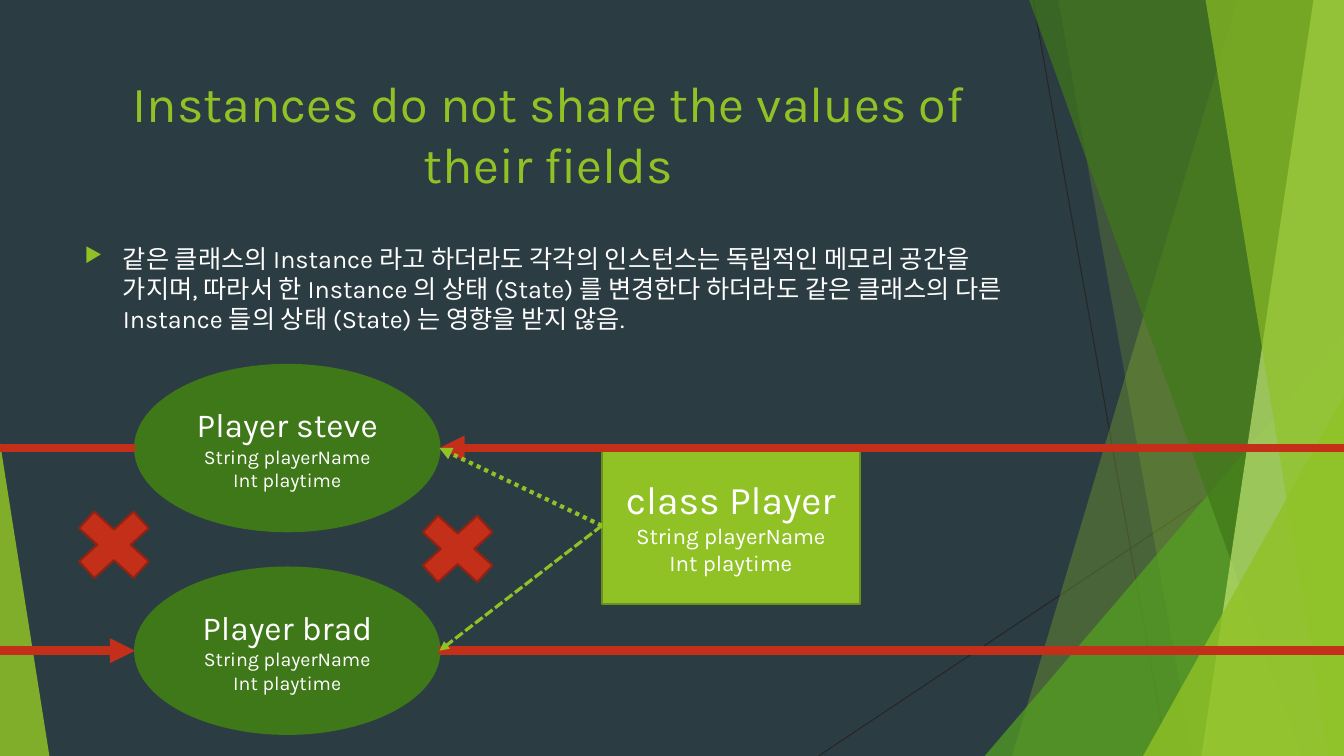
from dataclasses import dataclass

from lxml import etree
from pptx import Presentation
from pptx.dml.color import RGBColor
from pptx.enum.dml import MSO_LINE
from pptx.enum.shapes import MSO_CONNECTOR, MSO_SHAPE
from pptx.enum.text import MSO_ANCHOR, PP_ALIGN
from pptx.oxml.ns import qn
from pptx.util import Emu, Inches, Pt

STRAIGHT = MSO_CONNECTOR.STRAIGHT
SOLID, DOTTED, DASHED = MSO_LINE.SOLID, MSO_LINE.ROUND_DOT, MSO_LINE.SQUARE_DOT
TRIANGLE, RECTANGLE = MSO_SHAPE.ISOSCELES_TRIANGLE, MSO_SHAPE.RECTANGLE
ELLIPSE, CROSS = MSO_SHAPE.OVAL, MSO_SHAPE.MATH_MULTIPLY
TOP, MIDDLE = MSO_ANCHOR.TOP, MSO_ANCHOR.MIDDLE
LEFT, CENTER = PP_ALIGN.LEFT, PP_ALIGN.CENTER


@dataclass(frozen=True)
class Theme:
    """Colours, font and type sizes of the slide."""
    font: str = "Karla"
    background: str = "2C3C43"
    text: str = "FFFFFF"
    lime: str = "90C226"
    lime_edge: str = "6B901C"
    pale: str = "C0E474"
    green: str = "54A021"
    forest: str = "3F7819"
    red: str = "C42F1A"
    red_edge: str = "912313"
    hairline: str = "262626"
    title: int = 36
    body: int = 18
    class_name: int = 28
    class_field: int = 16
    object_name: int = 24
    object_field: int = 14


theme = Theme()
presentation = Presentation()
presentation.slide_width = Inches(13.333)
presentation.slide_height = Inches(7.5)
# The grid has 100 columns and 100 rows.
COLUMN = presentation.slide_width / 100
ROW = presentation.slide_height / 100


def grid(*lengths):
    """Turn alternating column and row counts into lengths."""
    return [Emu(round(length * (ROW if index % 2 else COLUMN)))
            for index, length in enumerate(lengths)]


def write(shape, lines, *, sizes, color=theme.text, align=CENTER, anchor=MIDDLE):
    """Fill a shape with one paragraph per line and return the paragraphs."""
    frame = shape.text_frame
    frame.word_wrap = True
    frame.vertical_anchor = anchor
    frame.text = "\n".join(lines)
    for paragraph, size in zip(frame.paragraphs, sizes):
        paragraph.alignment = align
        font = paragraph.runs[0].font
        font.name, font.size = theme.font, Pt(size)
        font.color.rgb = RGBColor.from_string(color)
    return frame.paragraphs


slide = presentation.slides.add_slide(presentation.slide_layouts[6])
slide.background.fill.solid()
slide.background.fill.fore_color.rgb = RGBColor.from_string(theme.background)
shapes = slide.shapes

# Each connector: start, end, colour, width, dash, arrowhead
hairlines = [
    ((76.87, 0), (86.85, 100), theme.hairline, 0.75, SOLID, False),
    ((100, 53.73), (60.9, 100), theme.hairline, 0.75, SOLID, False),
]
# Each facet: outline, colour, opacity in percent. A panel gives the columns of
# its slanted edge at top and bottom, a triangle its box and apex.
facets = [
    ((92.1, 75.3), theme.lime, 30),
    ((78.75, 88.73), theme.lime, 20),
    ((73.27, 44.4, 26.73, 55.6, 1), theme.green, 72),
    ((76.58, 96.83), theme.forest, 70),
    ((97.73, 89.4), theme.pale, 70),
    ((89.7, 98.85), theme.lime, 65),
    ((85.05, 52.4, 14.95, 47.6, 1), theme.lime, 80),
    ((0, 58.53, 3.68, 41.47, 0), theme.lime, 85),
]

# Positions shared by the diagram's shapes and arrows
object_left, object_width, object_height = 10.05, 22.65, 22
object_right = object_left + object_width
steve_top, brad_top = 48.27, 75.07
steve_middle, brad_middle = (top + object_height / 2 for top in (steve_top, brad_top))
class_left, class_top, class_width, class_height = 44.78, 59.2, 19.2, 20.67
class_port = (class_left, class_top + class_height / 2)

arrows = [
    ((object_left, steve_middle), (0, steve_middle), theme.red, 6, SOLID, False),
    ((0, brad_middle), (object_left, brad_middle), theme.red, 6, SOLID, True),
    ((object_right, brad_middle), (100, brad_middle), theme.red, 6, SOLID, False),
    ((100, steve_middle), (object_right, steve_middle), theme.red, 6, SOLID, True),
]
instance_arrows = [
    (class_port, (object_right, steve_middle), theme.lime, 3, DOTTED, True),
    (class_port, (object_right, brad_middle), theme.lime, 2.25, DASHED, True),
]
fields = ["String playerName", "Int playtime"]
class_sizes = [theme.class_name, theme.class_field, theme.class_field]
object_sizes = [theme.object_name, theme.object_field, theme.object_field]
# Each node: preset, box, fill, edge, lines, sizes
nodes = [
    (RECTANGLE, (class_left, class_top, class_width, class_height),
     theme.lime, theme.lime_edge, ["class Player", *fields], class_sizes),
    (ELLIPSE, (object_left, steve_top, object_width, object_height),
     theme.forest, theme.forest, ["Player steve", *fields], object_sizes),
    (ELLIPSE, (object_left, brad_top, object_width, object_height),
     theme.forest, theme.forest, ["Player brad", *fields], object_sizes),
]
crosses = [
    (CROSS, (left, top, 7.8, 12.67), theme.red, theme.red_edge, [], [])
    for left, top in ((4.58, 65.73), (30.15, 66.27))
]

# Back to front: hairlines, facets, nodes, red arrows, crosses, instance arrows
connector_layers = {"hairlines": hairlines, "arrows": arrows, "instances": instance_arrows}
node_layers = {"nodes": nodes, "crosses": crosses}
for layer in ("hairlines", "facets", "text", "nodes", "arrows", "crosses", "instances"):
    for start, end, color, width, dash, arrowhead in connector_layers.get(layer, []):
        connector = shapes.add_connector(STRAIGHT, *grid(*start, *end))
        connector.line.color.rgb = RGBColor.from_string(color)
        connector.line.width = Pt(width)
        connector.line.dash_style = dash
        properties = connector._element.spPr
        if arrowhead:
            etree.SubElement(properties.find(qn("a:ln")), qn("a:tailEnd"), type="triangle")
        etree.SubElement(properties, qn("a:effectLst"))

    for preset, box, fill, edge, lines, sizes in node_layers.get(layer, []):
        shape = shapes.add_shape(preset, *grid(*box))
        shape.shadow.inherit = False
        shape.fill.solid()
        shape.fill.fore_color.rgb = RGBColor.from_string(fill)
        shape.line.color.rgb = RGBColor.from_string(edge)
        shape.line.width = Pt(1.5)
        if lines:
            write(shape, lines, sizes=sizes)

    for outline, color, opacity in facets if layer == "facets" else []:
        if len(outline) == 2:
            top, bottom = outline
            builder = shapes.build_freeform(*grid(top, 0), scale=1.0)
            corners = [grid(100, 0), grid(100, 100), grid(bottom, 100)]
            builder.add_line_segments(corners, close=True)
            facet = builder.convert_to_shape()
        else:
            *box, apex = outline
            facet = shapes.add_shape(TRIANGLE, *grid(*box))
            facet.adjustments[0] = apex
        facet.shadow.inherit = False
        facet.fill.solid()
        facet.fill.fore_color.rgb = RGBColor.from_string(color)
        facet.line.fill.background()
        fill_color = facet._element.spPr.find(qn("a:solidFill")).find(qn("a:srgbClr"))
        etree.SubElement(fill_color, qn("a:alpha"), val=str(opacity * 1000))

    if layer == "text":
        title = shapes.add_textbox(*grid(5.55, 8.93, 70.5, 19.2))
        write(title, ["Instances do not share the values of their fields"],
              sizes=[theme.title], color=theme.lime, anchor=TOP)
        body = shapes.add_textbox(*grid(5.55, 31.47, 70.5, 56.53))
        statement = (
            "같은 클래스의 Instance 라고 하더라도 각각의 인스턴스는 독립적인 메모리 공간을 "
            "가지며, 따라서 한 Instance 의 상태 (State) 를 변경한다 하더라도 같은 클래스의 "
            "다른 Instance 들의 상태 (State) 는 영향을 받지 않음.")
        paragraph = write(body, [statement], sizes=[theme.body], align=LEFT, anchor=TOP)[0]
        paragraph.space_before = Pt(10)
        settings = paragraph._p.get_or_add_pPr()
        settings.set("marL", str(Inches(0.38)))
        settings.set("indent", str(Inches(-0.38)))
        bullet_color = etree.SubElement(settings, qn("a:buClr"))
        etree.SubElement(bullet_color, qn("a:srgbClr"), val=theme.lime)
        etree.SubElement(settings, qn("a:buSzPct"), val="80000")
        etree.SubElement(settings, qn("a:buChar"), char="▶")

presentation.save("out.pptx")
